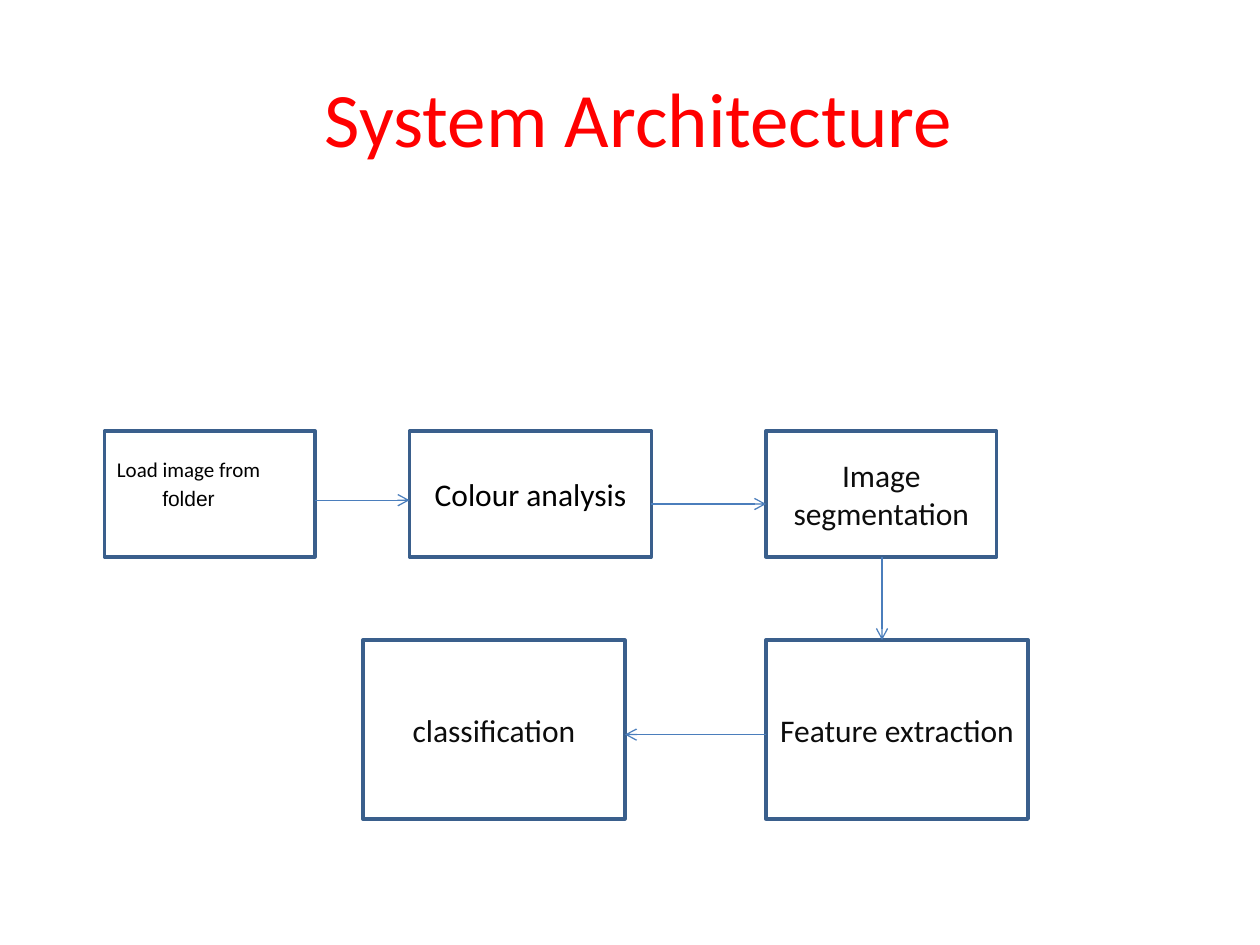
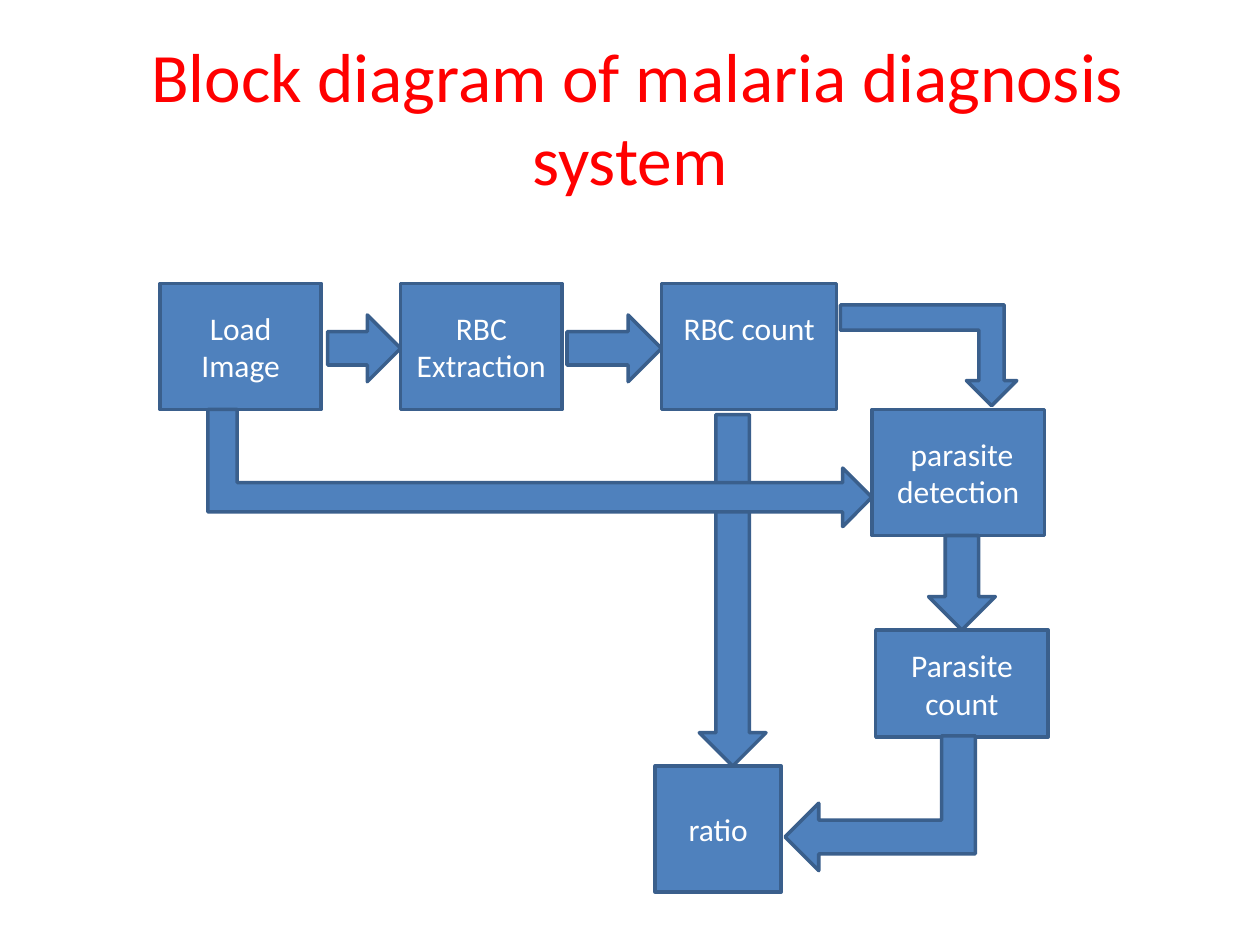
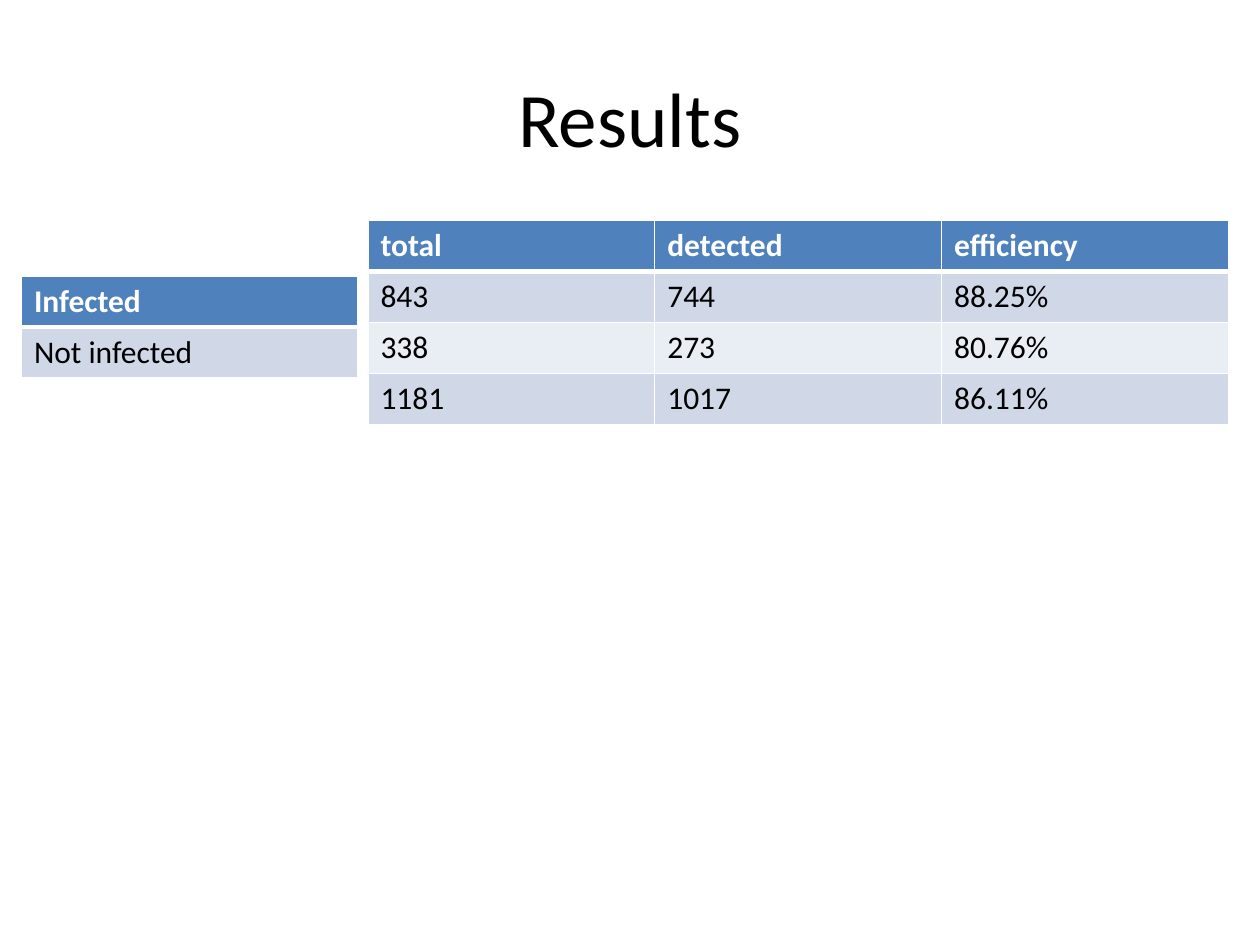
from dataclasses import dataclass

from lxml.etree import SubElement
from pptx import Presentation
from pptx.dml.color import RGBColor
from pptx.enum.shapes import MSO_CONNECTOR, MSO_SHAPE
from pptx.enum.text import MSO_ANCHOR, PP_ALIGN
from pptx.oxml.ns import qn
from pptx.util import Inches, Pt


@dataclass(frozen=True)
class Theme:
    """Colours, fonts and sizes shared by the slides."""
    font: str = "Calibri"
    second_font: str = "Arial"
    accent: str = "4F81BD"
    outline: str = "3A5F8C"
    arrow: str = "4B7EBC"
    title: str = "FF0000"
    black: str = "000000"
    dark: str = "0D0D0D"
    white: str = "FFFFFF"
    bands: tuple = ("D0D8E8", "E9EDF4")
    title_size: float = 44
    long_title_size: float = 39.6
    body_size: float = 18
    small_size: float = 12
    outline_width: float = 2
    arrow_width: float = 0.75
    border_width: float = 1
    header_border_width: float = 3


THEME = Theme()


def colour(value):
    """Turn a hexadecimal string into a colour."""
    return RGBColor.from_string(value)


def style_paragraph(paragraph, size, text_colour, font=THEME.font, bold=False):
    """Set the font of a whole paragraph."""
    paragraph.font.name = font
    paragraph.font.size = Pt(size)
    paragraph.font.bold = bold
    paragraph.font.color.rgb = colour(text_colour)


def write_centred(shape, text, size, text_colour, indent=0):
    """Write wrapped, centred text with an optional first-line indent."""
    frame = shape.text_frame
    frame.word_wrap = True
    frame.vertical_anchor = MSO_ANCHOR.MIDDLE
    paragraph = frame.paragraphs[0]
    paragraph.text = text
    paragraph.alignment = PP_ALIGN.CENTER
    if indent:
        properties = paragraph._p.get_or_add_pPr()
        properties.set("marL", "0")
        properties.set("indent", str(Inches(indent)))
    style_paragraph(paragraph, size, text_colour)


def add_title(slide, text, size=THEME.title_size, text_colour=THEME.title, indent=0):
    """Add the slide title."""
    box = slide.shapes.add_textbox(Inches(0.5), Inches(0.3), Inches(9), Inches(1.25))
    write_centred(box, text, size, text_colour, indent)


def add_figure(slide, kind, left, top, width, height, fill=THEME.accent):
    """Add an outlined preset shape, unfilled when fill is None."""
    shape = slide.shapes.add_shape(
        kind, Inches(left), Inches(top), Inches(width), Inches(height))
    shape.shadow.inherit = False
    if fill:
        shape.fill.solid()
        shape.fill.fore_color.rgb = colour(fill)
    else:
        shape.fill.background()
    shape.line.color.rgb = colour(THEME.outline)
    shape.line.width = Pt(THEME.outline_width)
    return shape


def add_block(slide, text, left, top, width, height, fill=THEME.accent,
              text_colour=THEME.white, indent=0):
    """Add a labelled rectangle."""
    block = add_figure(slide, MSO_SHAPE.RECTANGLE, left, top, width, height, fill)
    write_centred(block, text, THEME.body_size, text_colour, indent)
    return block


def add_load_block(slide, left, top, width, height):
    """Add the first step, with its small left-aligned label."""
    block = add_figure(slide, MSO_SHAPE.RECTANGLE, left, top, width, height, None)
    frame = block.text_frame
    frame.word_wrap = True
    frame.vertical_anchor = MSO_ANCHOR.TOP
    frame.margin_top = Inches(0.2)
    first, second = frame.paragraphs[0], frame.add_paragraph()
    first.text, second.text = "Load image from", "folder"
    second._p.get_or_add_pPr().set("marL", str(Inches(0.36)))
    second.space_before = Pt(2.4)
    for paragraph, font in ((first, THEME.font), (second, THEME.second_font)):
        paragraph.alignment = PP_ALIGN.LEFT
        style_paragraph(paragraph, THEME.small_size, THEME.black, font)


def add_arrow(slide, start_x, start_y, end_x, end_y):
    """Add a thin line with an open arrowhead at its end."""
    connector = slide.shapes.add_connector(
        MSO_CONNECTOR.STRAIGHT,
        Inches(start_x), Inches(start_y), Inches(end_x), Inches(end_y))
    connector.line.color.rgb = colour(THEME.arrow)
    connector.line.width = Pt(THEME.arrow_width)
    SubElement(connector.line._get_or_add_ln(), qn("a:tailEnd"), type="arrow")
    SubElement(connector._element.spPr, qn("a:effectLst"))


def add_bent_arrow(slide, left, top, width, height, rotation, flipped=False):
    """Add a bent block arrow, turned and optionally mirrored."""
    arrow = add_figure(slide, MSO_SHAPE.BENT_UP_ARROW, left, top, width, height)
    arrow.rotation = rotation
    if flipped:
        arrow._element.spPr.find(qn("a:xfrm")).set("flipH", "1")


def set_borders(cell, top_width, bottom_width):
    """Draw white borders around a table cell."""
    properties = cell._tc.get_or_add_tcPr()
    widths = {"a:lnL": THEME.border_width, "a:lnR": THEME.border_width,
              "a:lnT": top_width, "a:lnB": bottom_width}
    for position, (tag, width) in enumerate(widths.items()):
        line = SubElement(properties, qn(tag), w=str(Pt(width)))
        fill = SubElement(line, qn("a:solidFill"))
        SubElement(fill, qn("a:srgbClr"), val=THEME.white)
        properties.insert(position, line)


def add_banded_table(slide, rows, left, top, width, height):
    """Add a table with a header row and banded body rows."""
    table = slide.shapes.add_table(
        len(rows), len(rows[0]),
        Inches(left), Inches(top), Inches(width), Inches(height)).table
    for row_number, values in enumerate(rows):
        header = row_number == 0
        band = THEME.accent if header else THEME.bands[(row_number - 1) % 2]
        top_width = THEME.header_border_width if row_number == 1 else THEME.border_width
        bottom_width = THEME.header_border_width if header else THEME.border_width
        for column_number, value in enumerate(values):
            cell = table.cell(row_number, column_number)
            cell.text = value
            cell.fill.solid()
            cell.fill.fore_color.rgb = colour(band)
            set_borders(cell, top_width, bottom_width)
            style_paragraph(cell.text_frame.paragraphs[0], THEME.body_size,
                            THEME.white if header else THEME.black, bold=header)


def build_architecture(slide):
    """Build the system architecture slide."""
    add_title(slide, "System Architecture", indent=0.14)
    upper, lower = 3.42, 5.08
    add_load_block(slide, 0.83, upper, 1.67, 1)
    for text, left, top, width, height, text_colour in (
            ("Colour analysis", 3.25, upper, 1.92, 1, THEME.black),
            ("Image segmentation", 6.08, upper, 1.83, 1, THEME.dark),
            ("Feature extraction", 6.08, lower, 2.08, 1.42, THEME.dark),
            ("classification", 2.88, lower, 2.08, 1.42, THEME.dark)):
        add_block(slide, text, left, top, width, height, None, text_colour)
    for ends in ((2.5, 3.97, 3.25, 3.97), (5.17, 4, 6.08, 4),
                 (7, upper + 1, 7, lower), (6.08, 5.83, 4.96, 5.83)):
        add_arrow(slide, *ends)


def build_block_diagram(slide):
    """Build the malaria diagnosis block diagram."""
    add_title(slide, "Block diagram of malaria diagnosis system",
              THEME.long_title_size, indent=0.12)
    top_row = 2.25
    add_block(slide, "Load Image", 1.27, top_row, 1.28, 1)
    add_block(slide, "Parasite count", 6.95, 5, 1.37, 0.85)
    add_block(slide, "parasite detection", 6.92, 3.25, 1.37, 1, indent=0.06)
    count_block = add_block(slide, "RBC count", 5.25, top_row, 1.39, 1)
    count_block.text_frame.margin_bottom = Inches(0.35)
    add_block(slide, "RBC Extraction", 3.18, top_row, 1.28, 1)
    thickness = 0.53
    for left, length in ((2.6, 0.58), (4.5, 0.75)):
        add_figure(slide, MSO_SHAPE.RIGHT_ARROW, left, 2.5, length, thickness)
    add_bent_arrow(slide, 6.67, 2.42, 1.4, 0.8, 180, flipped=True)
    for left, top, length in ((7.37, 4.25, 0.75), (5.55, 3.29, 2.79)):
        add_figure(slide, MSO_SHAPE.DOWN_ARROW, left, top, thickness, length)
    add_bent_arrow(slide, 6.45, 5.62, 1.07, 1.51, 270, flipped=True)
    add_block(slide, "ratio", 5.2, 6.08, 1, 1)
    add_bent_arrow(slide, 3.82, 1.08, 0.93, 5.27, 90)


def build_results(slide):
    """Build the results slide."""
    add_title(slide, "Results", text_colour=THEME.black)
    results = (("total", "detected", "efficiency"),
               ("843", "744", "88.25%"),
               ("338", "273", "80.76%"),
               ("1181", "1017", "86.11%"))
    add_banded_table(slide, results, 2.92, 1.75, 6.83, 1.62)
    add_banded_table(slide, (("Infected",), ("Not infected",)), 0.17, 2.19, 2.67, 0.81)


def main():
    """Build and save the presentation."""
    presentation = Presentation()
    presentation.slide_width = Inches(10)
    presentation.slide_height = Inches(7.5)
    blank_layout = presentation.slide_layouts[6]
    for build in (build_architecture, build_block_diagram, build_results):
        build(presentation.slides.add_slide(blank_layout))
    presentation.save("out.pptx")


if __name__ == "__main__":
    main()
